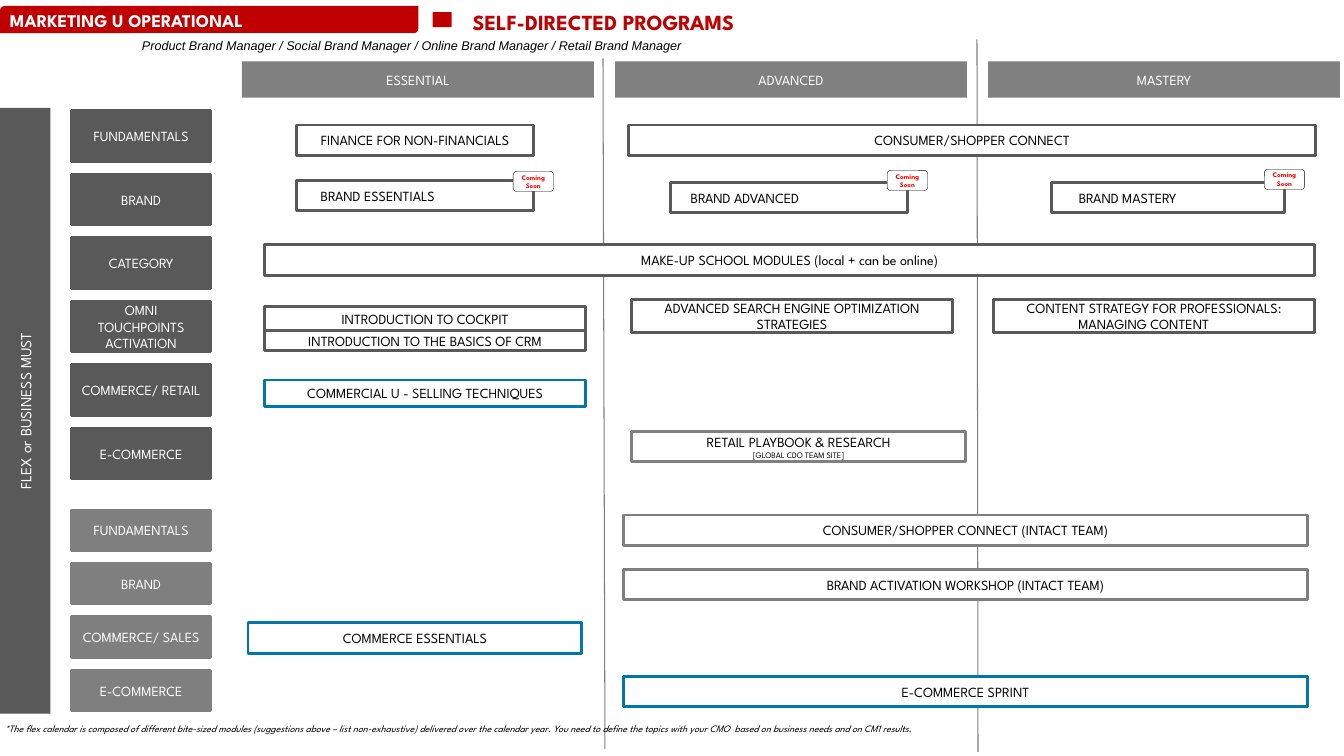
from lxml import etree
from pptx import Presentation
from pptx.dml.color import RGBColor
from pptx.enum.shapes import MSO_CONNECTOR, MSO_SHAPE
from pptx.enum.text import MSO_ANCHOR, MSO_AUTO_SIZE, PP_ALIGN
from pptx.oxml.ns import qn
from pptx.util import Inches, Pt

RECT = MSO_SHAPE.RECTANGLE
ROUNDED = MSO_SHAPE.ROUNDED_RECTANGLE
DIAGONAL = MSO_SHAPE.ROUND_2_DIAG_RECTANGLE
STRAIGHT = MSO_CONNECTOR.STRAIGHT
MIDDLE, TOP = MSO_ANCHOR.MIDDLE, MSO_ANCHOR.TOP
LEFT, CENTER = PP_ALIGN.LEFT, PP_ALIGN.CENTER
GROW = MSO_AUTO_SIZE.SHAPE_TO_FIT_TEXT

WHITE, BLACK, RED, BADGE_RED = "FFFFFF", "000000", "C00000", "FF0000"
DARK, MID, HEADER, BLUE = "595959", "7F7F7F", "808080", "0077AA"

LEVELS = ["ESSENTIAL", "ADVANCED", "MASTERY"]
DIVIDERS = [(5.98, 0.36, 6, 7.43), (9.69, 0.39, 9.7, 7.46)]

# first top, pitch, height, colour, labels
TOPIC_GROUPS = [
    (1.1, 0.63, 0.5, DARK, ["FUNDAMENTALS", "BRAND", "CATEGORY", "OMNI TOUCHPOINTS ACTIVATION",
                            "COMMERCE/ RETAIL", "E-COMMERCE"]),
    (5.06, 0.53, 0.4, MID, ["FUNDAMENTALS", "BRAND", "COMMERCE/ SALES", "E-COMMERCE"]),
]

# left, top, width, height, outline, text
PROGRAMS = [
    (2.94, 1.24, 2.35, 0.3, DARK, "FINANCE FOR NON-FINANCIALS"),
    (6.23, 1.24, 6.82, 0.3, DARK, "CONSUMER/SHOPPER CONNECT"),
    (2.62, 2.43, 10.42, 0.3, DARK, "MAKE-UP SCHOOL MODULES (local + can be online)"),
    (2.62, 3.04, 3.19, 0.25, DARK, "INTRODUCTION TO COCKPIT"),
    (2.62, 3.28, 3.19, 0.2, DARK, "INTRODUCTION TO THE BASICS OF CRM"),
    (6.26, 2.97, 3.19, 0.33, DARK, "ADVANCED SEARCH ENGINE OPTIMIZATION STRATEGIES"),
    (9.85, 2.97, 3.19, 0.33, DARK, "CONTENT STRATEGY FOR PROFESSIONALS: MANAGING CONTENT\t"),
    (2.62, 3.77, 3.19, 0.26, BLUE, "COMMERCIAL U - SELLING TECHNIQUES"),
    (6.18, 5.11, 6.79, 0.3, MID, "CONSUMER/SHOPPER CONNECT (INTACT TEAM)"),
    (6.18, 5.65, 6.79, 0.3, MID, "BRAND ACTIVATION WORKSHOP (INTACT TEAM)"),
    (2.46, 6.18, 3.31, 0.3, BLUE, "COMMERCE ESSENTIALS"),
    (6.18, 6.71, 6.79, 0.3, BLUE, "E-COMMERCE SPRINT"),
]

# left, top, width, text inset, text, badge left, badge top
BRAND_PROGRAMS = [
    (2.94, 1.79, 2.35, 0.24, "BRAND ESSENTIALS", 5.09, 1.7),
    (6.65, 1.81, 2.35, 0.2, "BRAND ADVANCED", 8.8, 1.69),
    (10.43, 1.81, 2.31, 0.27, "BRAND MASTERY", 12.54, 1.68),
]


def rgb(value):
    return RGBColor.from_string(value)


class ProgramSlide:
    font_name = "League Spartan"

    def __init__(self, slide):
        self.shapes = slide.shapes

    def set_lines(self, frame, lines, align=CENTER, color=BLACK, frame_format=None, **font_format):
        """Fill a text frame with (text, size) lines sharing one font format."""
        frame_values = {"word_wrap": True, "vertical_anchor": MIDDLE, **(frame_format or {})}
        for name, value in frame_values.items():
            setattr(frame, name, value)
        for index, (text, size) in enumerate(lines):
            paragraph = frame.paragraphs[0] if index == 0 else frame.add_paragraph()
            paragraph.alignment = align
            run = paragraph.add_run()
            run.text = text
            run.font.color.rgb = rgb(color)
            for name, value in {"name": self.font_name, "size": Pt(size), **font_format}.items():
                setattr(run.font, name, value)

    def box(self, bounds, fill=WHITE, outline=None, weight=2, kind=RECT):
        shape = self.shapes.add_shape(kind, *map(Inches, bounds))
        shape.shadow.inherit = False
        shape.fill.solid()
        shape.fill.fore_color.rgb = rgb(fill)
        if outline:
            shape.line.color.rgb = rgb(outline)
            shape.line.width = Pt(weight)
        else:
            shape.line.fill.background()
        return shape

    def label(self, bounds, text, fill, outline=None, size=10):
        shape = self.box(bounds, fill, outline)
        self.set_lines(shape.text_frame, [(text, size)], color=WHITE)
        return shape

    def program(self, bounds, outline, lines, **style):
        shape = self.box(bounds, outline=outline)
        self.set_lines(shape.text_frame, lines, **style)

    def badge(self, left, top):
        shape = self.box((left, top, 0.4, 0.2), outline=BLACK, weight=0.25, kind=ROUNDED)
        self.set_lines(shape.text_frame, [("Coming Soon", 5)], color=BADGE_RED, bold=True,
                       frame_format={"margin_left": 0, "margin_right": 0})

    def text(self, bounds, text, size, color=BLACK, **font_format):
        box = self.shapes.add_textbox(*map(Inches, bounds))
        self.set_lines(box.text_frame, [(text, size)], LEFT, color,
                       {"vertical_anchor": TOP, "auto_size": GROW}, **font_format)

    def divider(self, ends):
        line = self.shapes.add_connector(STRAIGHT, *map(Inches, ends))
        line.line.color.rgb = rgb(MID)
        line.line.width = Pt(0.75)
        etree.SubElement(line.element.spPr, qn("a:effectLst"))


def main():
    presentation = Presentation()
    presentation.slide_width, presentation.slide_height = Inches(13.33), Inches(7.5)
    page = ProgramSlide(presentation.slides.add_slide(presentation.slide_layouts[6]))

    for column, level in enumerate(LEVELS):
        page.label((2.4 + 3.7 * column, 0.61, 3.49, 0.36), level, HEADER)
    for ends in DIVIDERS:
        page.divider(ends)

    page.box((0, 0.06, 4.15, 0.27), RED, kind=DIAGONAL)
    page.box((4.29, 0.12, 0.19, 0.15), RED)
    page.text((4.59, 0.04, 5.46, 0.36), "SELF-DIRECTED PROGRAMS", 15.4, RED, bold=True)
    roles = page.box((1.31, 0.33, 6.92, 0.25))
    page.set_lines(roles.text_frame,
                   [("Product Brand Manager / Social Brand Manager / Online Brand Manager / "
                     "Retail Brand Manager", 9)],
                   LEFT, frame_format={"vertical_anchor": TOP, "auto_size": GROW},
                   name="Arial", italic=True)
    page.text((0, 0.05, 3.38, 0.32), "MARKETING U OPERATIONAL", 12.8, WHITE, bold=True)

    sidebar = page.label((0, 1.07, 0.5, 6.01), "FLEX or BUSINESS MUST", DARK, size=11)
    sidebar.element.txBody.find(qn("a:bodyPr")).set("vert", "vert270")

    for first_top, pitch, height, color, topics in TOPIC_GROUPS:
        for row, topic in enumerate(topics):
            page.label((0.71, first_top + pitch * row, 1.38, height), topic, color, color)

    for *bounds, outline, title in PROGRAMS:
        page.program(bounds, outline, [(title, 10)])
    page.program((6.26, 4.28, 3.32, 0.3), HEADER,
                 [("RETAIL PLAYBOOK & RESEARCH", 10), ("[GLOBAL CDO TEAM SITE]", 6)])
    for left, top, width, inset, title, badge_left, badge_top in BRAND_PROGRAMS:
        page.program((left, top, width, 0.3), DARK, [(title, 10)], align=LEFT,
                     frame_format={"margin_left": Inches(inset)})
        page.badge(badge_left, badge_top)

    page.text((-0.05, 7.12, 13.13, 0.22),
              "*The flex calendar is composed of different bite-sized modules (suggestions above – "
              "list non-exhaustive) delivered over the calendar year. You need to define the topics "
              "with your CMO  based on business needs and on CM1 results.", 7, italic=True)

    presentation.save("out.pptx")


if __name__ == "__main__":
    main()
